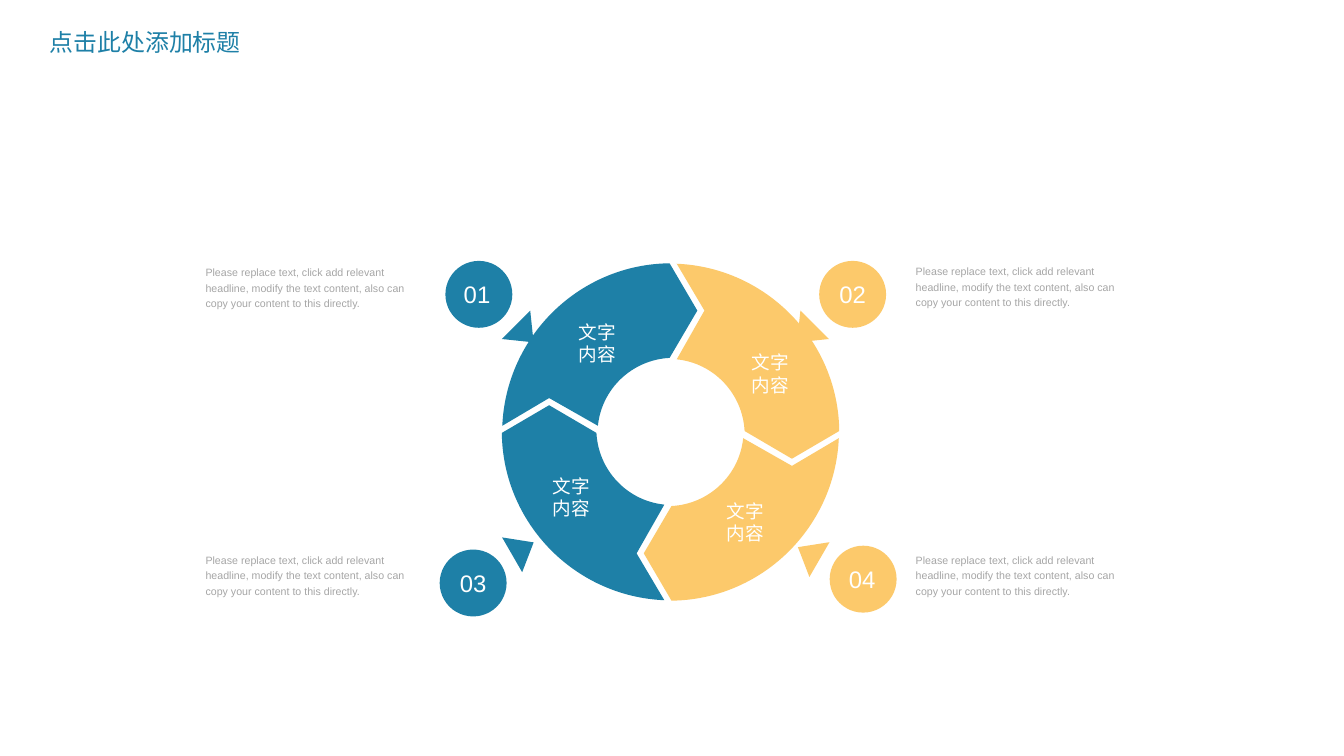
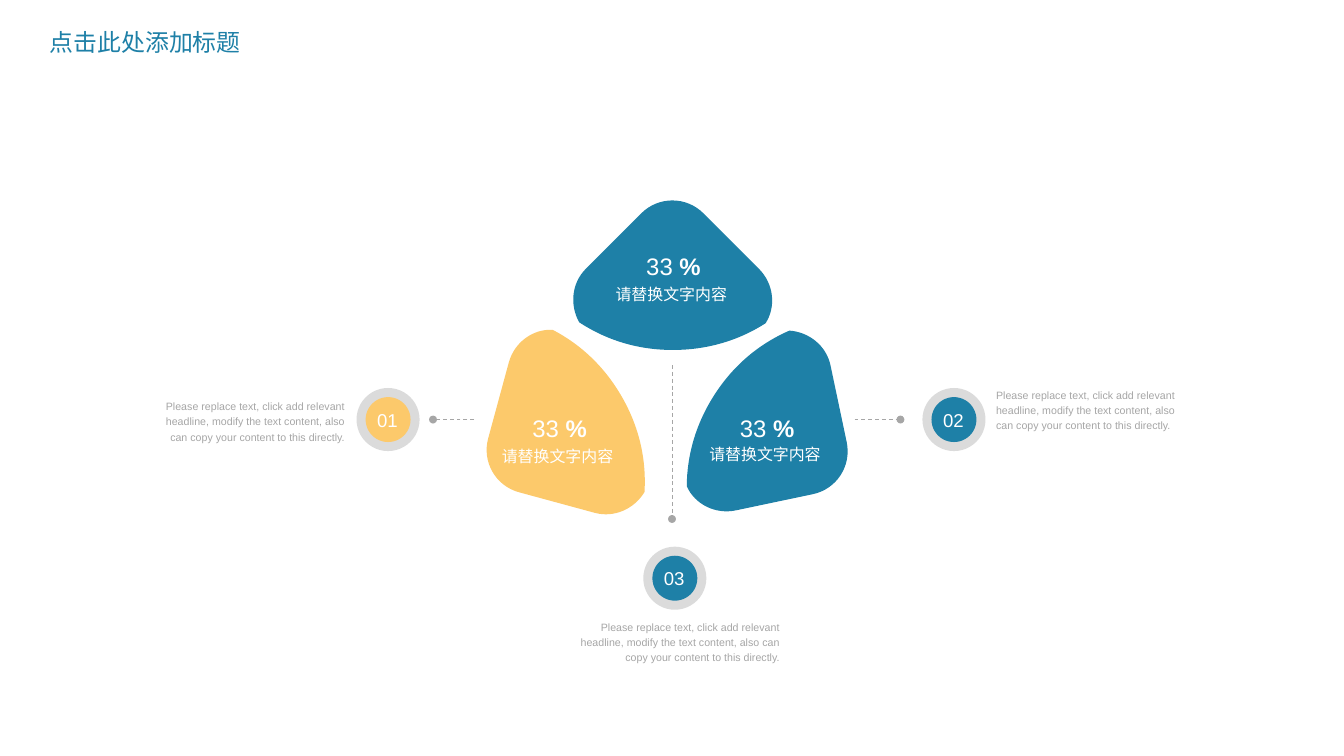
import math
from dataclasses import dataclass, field

import pptx
import pptx.dml.color
import pptx.enum.dml
import pptx.enum.shapes
import pptx.enum.text
import pptx.oxml
import pptx.oxml.ns
import pptx.util

ALIGN = pptx.enum.text.PP_ALIGN
ANCHOR = pptx.enum.text.MSO_ANCHOR
SHAPE = pptx.enum.shapes.MSO_SHAPE

# The slide is a grid of square cells, ten to the inch.
CELL = pptx.util.Inches(0.1)
COLUMNS, ROWS = 140.6, 79.1

TITLE = "点击此处添加标题"
BODY = ("Please replace text, click add relevant headline, modify the text "
        "content, also can copy your content to this directly.")

# Outlines around their center: a start, then lines (one point) and
# curves (two control points and an end).
RING_SEGMENT = [
    [(-0.65, 17.6)], [(-3.55, 12.7)], [(-0.65, 7.6)],
    [(-4.55, 7.2), (-7.55, 4), (-7.75, 0.1)],
    [(-12.7, -2.8)], [(-17.65, 0.1)],
    [(-17.55, 9.5), (-10.05, 17.2), (-0.65, 17.6)],
]
PETAL = [
    [(3.2, -9)],
    [(1.4, -10.8), (-1.5, -10.8), (-3.3, -9)],
    [(-9.1, -3.2)],
    [(-10.6, -1.7), (-10.8, 0.6), (-9.8, 2.4)],
    [(-6.9, 4.3), (-3.6, 5.3), (0, 5.3)],
    [(3.6, 5.3), (6.9, 4.3), (9.7, 2.5)],
    [(10.8, 0.8), (10.6, -1.6), (9, -3.2)],
    [(3.2, -9)],
]
PETAL_TILT = 45


@dataclass(frozen=True)
class Theme:
    blue: str = "1E80A7"
    yellow: str = "FCC96B"
    gray: str = "A6A6A6"
    pale: str = "DBDBDB"
    white: str = "FFFFFF"
    fonts: dict = field(default_factory=lambda: {
        "title": {"name": "Noto Sans CJK SC", "size": pptx.util.Pt(18)},
        "number": {"name": "Arial", "size": pptx.util.Pt(18)},
        "segment": {"name": "Arial", "size": pptx.util.Pt(14)},
        "label": {"name": "Arial", "size": pptx.util.Pt(12)},
        "body": {"name": "Arial", "size": pptx.util.Pt(8)},
    })


THEME = Theme()


def cells(*lengths):
    return [pptx.util.Emu(round(length * CELL)) for length in lengths]


def rgb(color):
    return pptx.dml.color.RGBColor.from_string(color)


def paint(shape, color=None):
    """Fill with a colour, or leave clear; never a line or a shadow."""
    shape.shadow.inherit = False
    shape.line.fill.background()
    if color:
        shape.fill.solid()
        shape.fill.fore_color.rgb = rgb(color)
    else:
        shape.fill.background()
    return shape


def add_text_box(page, left, top, width, height):
    return page.shapes.add_textbox(*cells(left, top, width, height))


def add_text_panel(page, left, top, width, height):
    """A clear outline that carries text."""
    corners = [(0, 0)], [(width, 0)], [(width, height)], [(0, height)]
    return add_outline(page, (left, top), corners)


def write(shape, spans, style, color, inset=(0, 0), anchor=ANCHOR.TOP,
          align=ALIGN.LEFT, line_spacing=None):
    """Fill a shape with one paragraph; spans are (text, bold) pairs."""
    inset_x, inset_y = cells(*inset)
    frame_format = {"margin_left": inset_x, "margin_right": inset_x,
                    "margin_top": inset_y, "margin_bottom": inset_y,
                    "word_wrap": True, "vertical_anchor": anchor}
    for name, value in frame_format.items():
        setattr(shape.text_frame, name, value)
    para = shape.text_frame.paragraphs[0]
    for name, value in {"alignment": align, "line_spacing": line_spacing}.items():
        setattr(para, name, value)
    for text, bold in spans:
        span = para.add_run()
        span.text = text
        for name, value in {**THEME.fonts[style], "bold": bold}.items():
            setattr(span.font, name, value)
        span.font.color.rgb = rgb(color)


def add_title(page):
    box = add_text_box(page, 4.2, 2.4, 23.6, 3.9)
    write(box, [(TITLE, None)], "title", THEME.blue, (1, 0.5))


def write_body(shape, align=ALIGN.LEFT):
    write(shape, [(BODY, None)], "body", THEME.gray, align=align, line_spacing=1.2)


def add_centered(page, kind, center, width, height, color, rotation=0):
    x, y = center
    shape = page.shapes.add_shape(
        kind, *cells(x - width / 2, y - height / 2, width, height))
    shape.rotation = rotation
    return paint(shape, color)


def add_disc(page, center, diameter, color):
    add_centered(page, SHAPE.OVAL, center, diameter, diameter, color)


def add_outline(page, center, steps, color=None, degrees=0):
    """Draw a closed outline turned clockwise, with its curves kept as curves."""
    cos, sin = math.cos(math.radians(degrees)), math.sin(math.radians(degrees))
    points = [cells(center[0] + x * cos - y * sin, center[1] + x * sin + y * cos)
              for step in steps for x, y in step]
    builder = page.shapes.build_freeform(*points[0], scale=1.0)
    builder.add_line_segments(points[1:], close=True)
    shape = builder.convert_to_shape()
    lines = iter(shape._element.xpath(".//a:lnTo"))
    for step in steps[1:]:
        first, *others = [next(lines) for _ in step]
        if others:
            first.tag = pptx.oxml.ns.qn("a:cubicBezTo")
        for other in others:
            first.append(other[0])
            other.getparent().remove(other)
    return paint(shape, color)


def add_dashed_line(page, start, end):
    """Dashed line with a dot at its end."""
    connector = page.shapes.add_connector(
        pptx.enum.shapes.MSO_CONNECTOR.STRAIGHT, *cells(*start, *end))
    connector.line.color.rgb = rgb(THEME.gray)
    connector.line.width = pptx.util.Pt(0.75)
    connector.line.dash_style = pptx.enum.dml.MSO_LINE.DASH
    namespace = pptx.oxml.ns.nsdecls("a")
    connector.line._get_or_add_ln().append(
        pptx.oxml.parse_xml(f'<a:tailEnd {namespace} type="oval"/>'))
    connector._element.spPr.append(
        pptx.oxml.parse_xml(f"<a:effectLst {namespace}/>"))


def build_ring(page):
    blue, yellow = THEME.blue, THEME.yellow
    # number, its place, color, disc center, pointer center and turn, body area
    markers = [
        ("01", (46.5, 28.1), blue, (50.1, 30.8), (54.9, 34.9), 135,
         (21.5, 27.6, 22.5)),
        ("02", (85.8, 28.1), yellow, (89.2, 30.8), (84.3, 34.9), 225,
         (95.8, 27.5, 23)),
        ("03", (46.1, 58.3), blue, (49.5, 61), (54.7, 57.4), 60,
         (21.5, 57.7, 22.5)),
        ("04", (86.8, 57.9), yellow, (90.3, 60.6), (84.6, 57.9), 300,
         (95.8, 57.7, 23)),
    ]
    for number, place, color, disc, pointer, turn, body in markers:
        add_disc(page, disc, 7, color)
        add_centered(page, SHAPE.ISOSCELES_TRIANGLE, pointer, 4.2, 2.6, color, turn)
        write(add_text_box(page, *place, 6.8, 5.3), [(number, None)], "number",
              THEME.white, (0, 1), ANCHOR.MIDDLE, ALIGN.CENTER)
        write_body(add_text_box(page, *body, 4.7))

    segments = [(blue, (57, 48.3)), (blue, (59.7, 32.2)),
                (yellow, (77.8, 35.4)), (yellow, (75.2, 50.9))]
    for index, (color, label) in enumerate(segments):
        add_outline(page, (70.15, 45.2), RING_SEGMENT, color, 90 * index)
        write(add_text_box(page, *label, 5.6, 7.4), [("文字内容", None)], "segment",
              THEME.white, anchor=ANCHOR.MIDDLE, align=ALIGN.CENTER)


def build_petals(page):
    blue, yellow = THEME.blue, THEME.yellow
    # number, color, badge center, body area, body alignment, line start and end
    badges = [
        ("01", yellow, (40.6, 43.9), (15.6, 41.6, 20.5), ALIGN.RIGHT,
         (49.6, 43.9), (45.3, 43.9)),
        ("02", blue, (99.8, 43.9), (104.2, 40.4, 20.5), ALIGN.LEFT,
         (89.4, 43.9), (94.2, 43.9)),
        ("03", blue, (70.6, 60.5), (58.3, 64.7, 23.3), ALIGN.RIGHT,
         (70.3, 38.2), (70.3, 54.3)),
    ]
    for number, color, (x, y), body, align, start, end in badges:
        add_disc(page, (x, y), 6.6, THEME.pale)
        add_disc(page, (x, y), 4.7, color)
        write(add_text_panel(page, x - 1.55, y - 1.6, 3.1, 3.2), [(number, None)],
              "segment", THEME.white, (0.4, 0.4), ANCHOR.BOTTOM)
        write_body(add_text_panel(page, *body, 4.7), align)
        add_dashed_line(page, start, end)

    # color, petal center, turn, text left, share top, label top
    petals = [(blue, (70.4, 31.3), 0, 64.2, 24.5, 29.5),
              (yellow, (60.5, 44.2), -119.8, 52.3, 41.5, 46.5),
              (blue, (79.3, 44.1), 123.1, 74, 41.5, 46.3)]
    for color, center, turn, left, share_top, label_top in petals:
        petal = add_outline(page, center, PETAL, color, -PETAL_TILT)
        petal.rotation = turn + PETAL_TILT
        write(add_text_panel(page, left + 1.3, share_top, 9.9, 4.2),
              [("33 ", None), ("%", True)], "number", THEME.white,
              align=ALIGN.CENTER, line_spacing=1.6)
        write(add_text_panel(page, left, label_top, 12.3, 2.5),
              [("请替换文字内容", None)], "label", THEME.white, (0.2, 0.2),
              ANCHOR.MIDDLE)


def main():
    deck = pptx.Presentation()
    deck.slide_width, deck.slide_height = cells(COLUMNS, ROWS)
    for build in (build_ring, build_petals):
        page = deck.slides.add_slide(deck.slide_layouts[6])
        build(page)
        add_title(page)
    deck.save("out.pptx")


if __name__ == "__main__":
    main()
